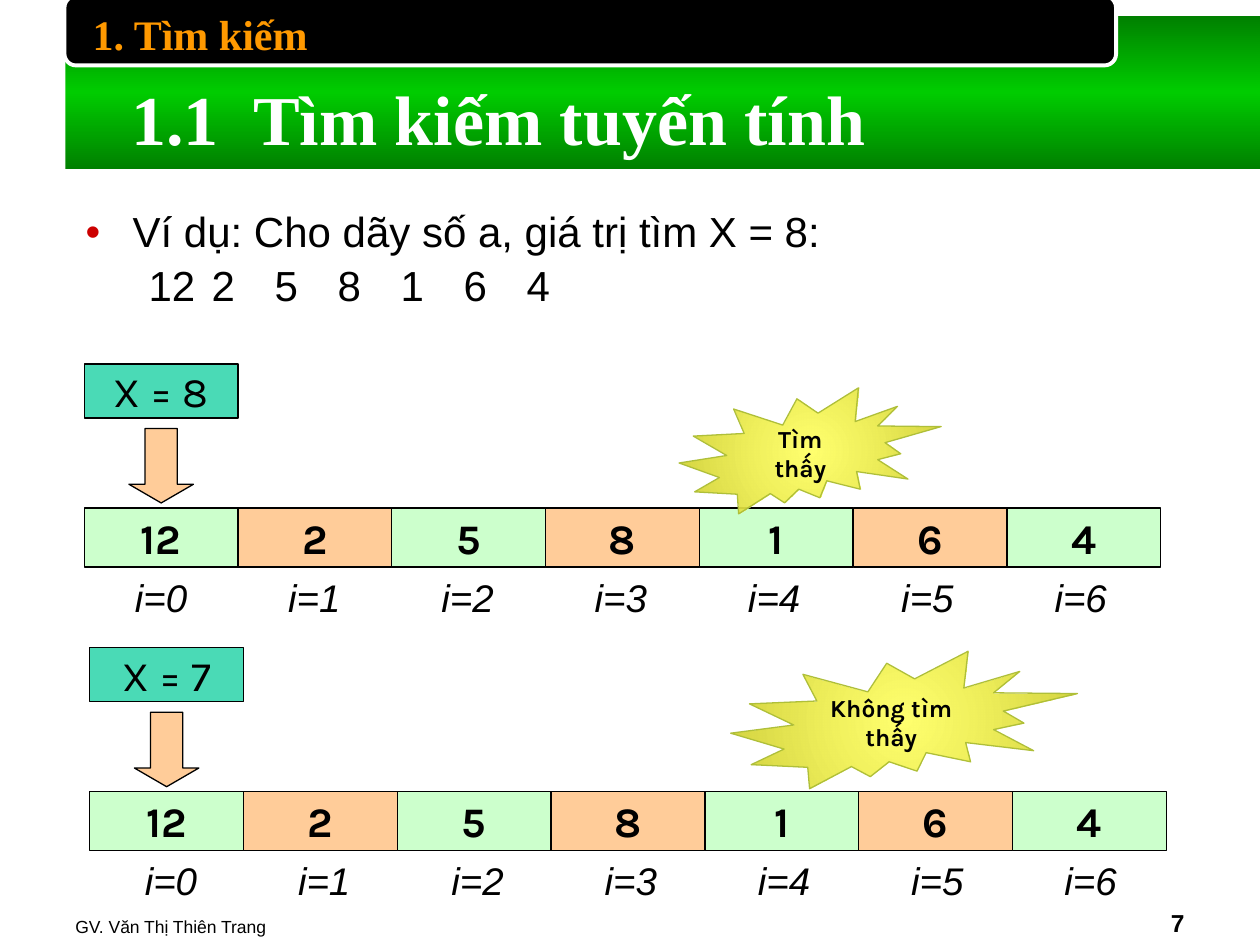
import pptx
import pptx.util
import pptx.dml.color
import pptx.enum.shapes
import pptx.enum.text
import pptx.oxml
import pptx.oxml.ns

Cm = pptx.util.Cm
Pt = pptx.util.Pt
Kind = pptx.enum.shapes.MSO_SHAPE
Side = pptx.enum.text.PP_ALIGN
Hold = pptx.enum.text.MSO_ANCHOR
NS = pptx.oxml.ns.nsdecls("a")

THEME = {
    "sans": "Arial", "serif": "Times New Roman", "round": "Karla",
    "black": "000000", "white": "FFFFFF", "head": "FF9900", "dot": "CC0000",
    "mint": "CCFFCC", "peach": "FFCC99", "teal": "00CC99", "rim": "AFBF39",
    "bar": [(0, "008000", 100), (50, "00CC00", 100), (100, "008000", 100)],
    "burst": [(0, "FFFF4B", 80), (100, "D2D23E", 100)],
    "title": 40, "big": 24, "label": 22, "page": 14, "small": 14, "foot": 10,
}

HEAD = "1. Tìm kiếm"
TITLE = "1.1\tTìm kiếm tuyến tính"
LEAD = "Ví dụ: Cho dãy số a, giá trị tìm X = 8:"
FOOT = "GV. Văn Thị Thiên Trang"
PAGE = "7"
NUMS = [12, 2, 5, 8, 1, 6, 4]
CASES = [
    {"key": "X = 8", "left": 1.7, "top": 7.34, "shift": 0,
     "note": "Tìm thấy", "burst": (13.69, 7.82, 5.28, 2.54)},
    {"key": "X = 7", "left": 1.81, "top": 13.06, "shift": 0.09,
     "note": "Không tìm thấy", "burst": (14.73, 13.13, 6.99, 2.77)},
]
CELL_W, CELL_H, KEY_H = 3.1, 1.19, 1.09


def hue(name):
    return pptx.dml.color.RGBColor.from_string(THEME.get(name, name))


def write(para, text, size, font="sans", tint="black", bold=False, slant=False):
    run = para.add_run()
    run.text = text
    run.font.size = Pt(THEME[size])
    run.font.name = THEME[font]
    run.font.color.rgb = hue(tint)
    run.font.bold = bold
    run.font.italic = slant


def frame(shape, hold):
    text = shape.text_frame
    text.word_wrap = True
    text.auto_size = pptx.enum.text.MSO_AUTO_SIZE.NONE
    text.vertical_anchor = hold
    return text.paragraphs[0]


def place(shape, spot):
    shape.left, shape.top, shape.width, shape.height = map(Cm, spot)


def draw(host, kind, spot, fill=None, line=None, width=0.75):
    shape = host.add_shape(kind, *map(Cm, spot))
    shape.shadow.inherit = False
    if fill:
        shape.fill.solid()
        shape.fill.fore_color.rgb = hue(fill)
    if line:
        shape.line.color.rgb = hue(line)
        shape.line.width = Pt(width)
    else:
        shape.line.fill.background()
    return shape


def label(shape, text, size, **look):
    para = frame(shape, Hold.MIDDLE)
    para.alignment = Side.CENTER
    write(para, text, size, "round", **look)


def blend(shape, stops, path):
    marks = "".join(
        f'<a:gs pos="{pos * 1000}"><a:srgbClr val="{tint}">'
        f'<a:alpha val="{alpha * 1000}"/></a:srgbClr></a:gs>'
        for pos, tint, alpha in stops)
    grad = pptx.oxml.parse_xml(
        f'<a:gradFill {NS} rotWithShape="1"><a:gsLst>{marks}</a:gsLst>{path}</a:gradFill>')
    shape.fill.background()
    props = shape._element.spPr
    props.replace(props.find(pptx.oxml.ns.qn("a:noFill")), grad)


def stops(para, spots):
    tabs = "".join(f'<a:tab pos="{Cm(spot)}" algn="l"/>' for spot in spots)
    para._p.get_or_add_pPr().append(
        pptx.oxml.parse_xml(f"<a:tabLst {NS}>{tabs}</a:tabLst>"))


def indent(para, left, first, bullet):
    props = para._p.get_or_add_pPr()
    props.set("marL", str(Cm(left)))
    props.set("indent", str(Cm(first)))
    for part in bullet:
        props.append(pptx.oxml.parse_xml(part))


def note(shapes, spot, text, size, hold, side, **look):
    para = frame(shapes.add_textbox(*map(Cm, spot)), hold)
    para.alignment = side
    write(para, text, size, **look)


def banner(slide):
    shapes = slide.shapes
    bar = draw(shapes, Kind.RECTANGLE, (0, 0.33, 25.4, 3.07))
    blend(bar, THEME["bar"], '<a:lin ang="5400000" scaled="0"/>')
    draw(shapes, Kind.ROUNDED_RECTANGLE, (1.3, -0.08, 21.2, 1.4), "black", "white", 2.25)
    draw(shapes, Kind.RECTANGLE, (0, 0, 1.32, 19.05), "white")
    note(shapes, (1.27, 17.75, 15.44, 1.27), FOOT, "foot", Hold.BOTTOM, Side.LEFT)
    note(shapes, (18.21, 17.75, 5.92, 1.27), PAGE, "page", Hold.BOTTOM, Side.RIGHT, bold=True)
    note(shapes, (1.47, 0.05, 5.13, 1.27), HEAD, "big", Hold.TOP, Side.CENTER,
         font="serif", tint="head", bold=True)


def words(slide):
    title, body = slide.shapes.title, slide.placeholders[1]
    for shape in (title, body):
        slide.shapes._spTree.append(shape._element)
    place(title, (2.39, 1.4, 15.7, 1.96))
    para = frame(title, Hold.TOP)
    stops(para, [2.46])
    para.alignment = Side.LEFT
    write(para, TITLE, "title", "serif", "white", True)

    place(body, (1.47, 4.14, 22.86, 13.64))
    lead = frame(body, Hold.TOP)
    indent(lead, 0.95, -0.95, [
        f'<a:buClr {NS}><a:srgbClr val="{THEME["dot"]}"/></a:buClr>',
        f'<a:buFont {NS} typeface="Arial"/>',
        f'<a:buChar {NS} char="•"/>'])
    lead.alignment = Side.JUSTIFY
    lead.space_before = Pt(0)
    write(lead, LEAD, "big")
    row = body.text_frame.add_paragraph()
    indent(row, 0, 0, [f"<a:buNone {NS}/>"])
    stops(row, [6.05 + 2.54 * i for i in range(len(NUMS))])
    row.alignment = Side.LEFT
    row.space_before = Pt(4.8)
    for num in NUMS:
        write(row, f"\t{num}", "big")
    for para in (lead, row):
        para.line_spacing = 0.9


def search(shapes, case):
    left, top = case["left"], case["top"]
    for i, num in enumerate(NUMS):
        spot = (left + i * CELL_W, top + 2.9, CELL_W, CELL_H)
        cell = draw(shapes, Kind.RECTANGLE, spot, ("mint", "peach")[i % 2], "black")
        label(cell, str(num), "big", bold=True)

    group = shapes.add_group_shape().shapes
    key = draw(group, Kind.RECTANGLE, (left, top, CELL_W, KEY_H), line="black")
    blend(key, [(0, THEME["teal"], 71), (100, THEME["teal"], 71)], "<a:lin ang='0'/>")
    solid = pptx.oxml.parse_xml(
        f'<a:solidFill {NS}><a:srgbClr val="{THEME["teal"]}">'
        '<a:alpha val="71000"/></a:srgbClr></a:solidFill>')
    props = key._element.spPr
    props.replace(props.find(pptx.oxml.ns.qn("a:gradFill")), solid)
    label(key, case["key"], "big")
    arrow = draw(group, Kind.DOWN_ARROW, (left + 0.9, top + 1.3, 1.3, 1.5), "peach", "black")
    arrow.adjustments[1] = 0.29

    burst = draw(shapes, Kind.EXPLOSION2, case["burst"], line="rim")
    blend(burst, THEME["burst"], '<a:path path="circle"><a:fillToRect '
          'l="50000" t="50000" r="50000" b="50000"/></a:path>')
    label(burst, case["note"], "small", bold=True)

    spot = (left + case["shift"], top + 4.17, 3.09 * len(NUMS), CELL_H)
    table = shapes.add_table(1, len(NUMS), *map(Cm, spot)).table
    table.first_row = table.horz_banding = False
    for i, cell in enumerate(table.rows[0].cells):
        cell.fill.background()
        para = cell.text_frame.paragraphs[0]
        para.alignment = Side.CENTER
        write(para, f"i={i}", "label", slant=True)


def main():
    deck = pptx.Presentation()
    deck.slide_width, deck.slide_height = Cm(25.4), Cm(19.05)
    slide = deck.slides.add_slide(deck.slide_layouts[1])
    banner(slide)
    words(slide)
    for case in CASES:
        search(slide.shapes, case)
    deck.save("out.pptx")


if __name__ == "__main__":
    main()
